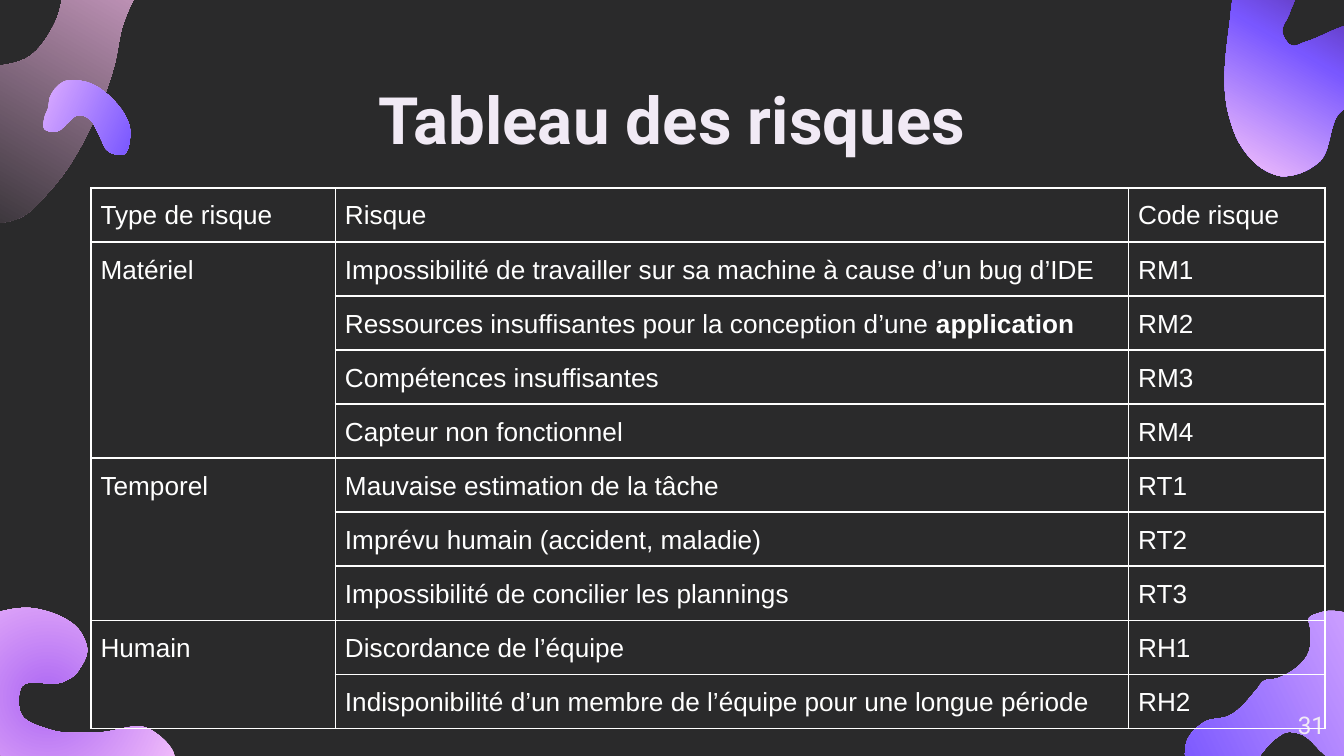
from math import dist

from lxml.etree import SubElement
from pptx import Presentation
from pptx.dml.color import RGBColor
from pptx.enum.text import PP_ALIGN
from pptx.oxml import parse_xml
from pptx.oxml.ns import nsdecls, qn
from pptx.util import Cm, Pt

COLORS = {
    "night": "2A2A2B", "white": "FFFFFF", "mist": "F1EAF5", "rose": "E7AFDD",
    "lilac": "DCACFF", "violet": "7957FF", "orchid": "AD68F3",
    "pink": "F6C2FB", "plum": "3E1157",
}

TITLE = "Tableau des risques"
PAGE_NUMBER = "31"
HEADINGS = ["Type de risque", "Risque", "Code risque"]
# Type, code prefix, risks; a risk is a list of (text, bold) runs or plain text.
RISK_GROUPS = [
    ("Matériel", "RM", [
        "Impossibilité de travailler sur sa machine à cause d’un bug d’IDE",
        [("Ressources insuffisantes pour la conception d’une ", False),
         ("application", True)],
        "Compétences insuffisantes",
        "Capteur non fonctionnel",
    ]),
    ("Temporel", "RT", [
        "Mauvaise estimation de la tâche",
        "Imprévu humain (accident, maladie)",
        "Impossibilité de concilier les plannings",
    ]),
    ("Humain", "RH", [
        "Discordance de l’équipe",
        "Indisponibilité d’un membre de l’équipe pour une longue période",
    ]),
]
COLUMN_WIDTHS = [4.62, 14.99, 3.71]
ROW_HEIGHT = 1.01

# Gradient colours, angle in degrees (None = from the centre), outline points
GRID = Cm(2.54) / 100
BLOBS = [
    (["rose", "night"], 120, [
        (98, -62), (71, -63), (55, -38), (49, -14), (41, 17), (22, 42),
        (-11, 50), (-46, 49), (-66, 58), (-68, 83), (-60, 89), (-37, 99),
        (-29, 106), (-34, 133), (-44, 142), (-42, 149), (-28, 161), (15, 162),
        (38, 141), (68, 94), (85, 49), (92, 17), (105, -10), (122, -31),
        (116, -44)]),
    (["lilac", "violet"], 154, [
        (1026, 569), (1022, 547), (1017, 510), (1038, 484), (982, 456),
        (974, 460), (975, 468), (974, 485), (950, 505), (940, 507),
        (936, 512), (914, 533), (897, 537), (883, 552), (882, 564),
        (906, 583), (930, 570), (950, 549), (957, 545), (967, 546),
        (985, 561), (1003, 576), (1024, 571)]),
    (["orchid", "pink"], None, [
        (-44, 475), (-59, 505), (-45, 522), (-15, 551), (19, 572), (107, 584),
        (126, 575), (130, 567), (110, 542), (74, 545), (37, 543), (16, 532),
        (16, 511), (48, 507), (56, 502), (59, 498), (65, 484), (61, 472),
        (27, 453), (-13, 459), (-40, 471)]),
    (["plum", "violet", "pink"], 120, [
        (1055, 34), (1031, 15), (1002, 19), (972, 31), (961, 34), (955, 27),
        (954, 24), (959, 11), (966, -15), (965, -19), (950, -34), (937, -31),
        (920, -10), (915, 17), (915, 88), (922, 106), (942, 127), (953, 131),
        (967, 129), (981, 121), (999, 82), (1019, 75), (1047, 61)]),
    (["lilac", "violet"], 24, [
        (47, 61), (37, 73), (36, 80), (33, 88), (33, 96), (42, 98), (52, 90),
        (57, 86), (62, 86), (67, 89), (74, 101), (81, 113), (92, 115),
        (97, 99), (82, 72), (64, 61)]),
]


def rgb(color):
    return RGBColor.from_string(COLORS[color])


def smooth_curves(points):
    """Two handles and an end point for each piece of a closed curve."""
    count = len(points)

    def tangent(i):
        before, here, after = (points[(i + k) % count] for k in (-1, 0, 1))
        d, e = dist(before, here), dist(here, after)
        return [((b - a) * e / d + (c - b) * d / e) / (d + e)
                for a, b, c in zip(before, here, after)]

    for i, start in enumerate(points):
        end = points[(i + 1) % count]
        reach = dist(start, end) / 3
        yield ([a + u * reach for a, u in zip(start, tangent(i))],
               [b - v * reach for b, v in zip(end, tangent(i + 1))],
               end)


def gradient_fill(colors, angle):
    stops = "".join(
        f'<a:gs pos="{100000 * i // (len(colors) - 1)}">'
        f'<a:srgbClr val="{COLORS[color]}"/></a:gs>'
        for i, color in enumerate(colors))
    if angle is None:
        course = ('<a:path path="circle"><a:fillToRect l="50000" t="50000" '
                  'r="50000" b="50000"/></a:path>')
    else:
        course = f'<a:lin ang="{angle * 60000}" scaled="0"/>'
    return parse_xml(f'<a:gradFill {nsdecls("a")}><a:gsLst>{stops}</a:gsLst>'
                     f'{course}</a:gradFill>')


def add_blob(slide, colors, angle, points):
    outline = [(x * GRID, y * GRID) for x, y in points]
    builder = slide.shapes.build_freeform(*outline[0])
    builder.add_line_segments(outline[1:] + outline[:1], close=True)
    blob = builder.convert_to_shape()
    blob.shadow.inherit = False
    blob.line.fill.background()
    blob.fill.background()
    properties = blob._element.spPr
    properties.replace(properties.find(qn("a:noFill")),
                       gradient_fill(colors, angle))
    lines = list(properties.iter(qn("a:lnTo")))
    for line, curve in zip(lines, smooth_curves(outline)):
        bend = parse_xml(f'<a:cubicBezTo {nsdecls("a")}/>')
        for x, y in curve:
            SubElement(bend, qn("a:pt"), x=str(round(x - blob.left)),
                       y=str(round(y - blob.top)))
        line.getparent().replace(line, bend)


def write(frame, content, size=14, font="Arial", color="white", bold=False,
          align=PP_ALIGN.LEFT, spacing=None):
    runs = [(content, bold)] if isinstance(content, str) else content
    paragraph = frame.paragraphs[0]
    paragraph.alignment = align
    paragraph.line_spacing = spacing
    for text, is_bold in runs:
        run = paragraph.add_run()
        run.text = text
        run.font.size = Pt(size)
        run.font.name = font
        run.font.bold = is_bold
        run.font.color.rgb = rgb(color)


def add_label(slide, text, left, top, width, height, **text_format):
    frame = slide.shapes.add_textbox(
        Cm(left), Cm(top), Cm(width), Cm(height)).text_frame
    frame.word_wrap = True
    frame.margin_left = frame.margin_right = Cm(0.25)
    frame.margin_top = frame.margin_bottom = Cm(0.25)
    write(frame, text, font="Roboto", color="mist", **text_format)


def style_cell(cell, padding):
    cell.margin_left = cell.margin_right = Cm(0.18)
    cell.margin_top = cell.margin_bottom = Cm(padding)
    cell.fill.background()
    properties = cell._tc.get_or_add_tcPr()
    for i, side in enumerate(("lnL", "lnR", "lnT", "lnB")):
        border = SubElement(properties, qn(f"a:{side}"), w=str(Pt(1)))
        solid = SubElement(border, qn("a:solidFill"))
        SubElement(solid, qn("a:srgbClr"), val=COLORS["white"])
        properties.insert(i, border)


def add_risk_table(slide):
    rows = [HEADINGS]
    spans = []
    for kind, prefix, risks in RISK_GROUPS:
        spans.append((len(rows), len(rows) + len(risks) - 1))
        rows += [(kind if n == 1 else "", risk, f"{prefix}{n}")
                 for n, risk in enumerate(risks, 1)]
    table = slide.shapes.add_table(
        len(rows), len(HEADINGS), Cm(1.72), Cm(3.55),
        Cm(sum(COLUMN_WIDTHS)), Cm(ROW_HEIGHT * len(rows))).table
    table.first_row = table.horz_banding = False
    for column, width in zip(table.columns, COLUMN_WIDTHS):
        column.width = Cm(width)
    for r, row in enumerate(rows):
        table.rows[r].height = Cm(ROW_HEIGHT)
        for c, content in enumerate(row):
            style_cell(table.cell(r, c), 0.17 if content else 0)
            if content:
                write(table.cell(r, c).text_frame, content, spacing=1.15)
    for first, last in spans:
        table.cell(first, 0).merge(table.cell(last, 0))


deck = Presentation()
deck.slide_width, deck.slide_height = Cm(25.4), Cm(14.29)
page = deck.slides.add_slide(deck.slide_layouts[6])
page.background.fill.solid()
page.background.fill.fore_color.rgb = rgb("night")
for blob_parts in BLOBS:
    add_blob(page, *blob_parts)
add_label(page, TITLE, 2, 1.24, 21.41, 1.6,
          size=35, bold=True, align=PP_ALIGN.CENTER)
add_label(page, PAGE_NUMBER, 23.77, 13.18, 1.52, 1.09,
          size=13, align=PP_ALIGN.RIGHT)
add_risk_table(page)
deck.save("out.pptx")
